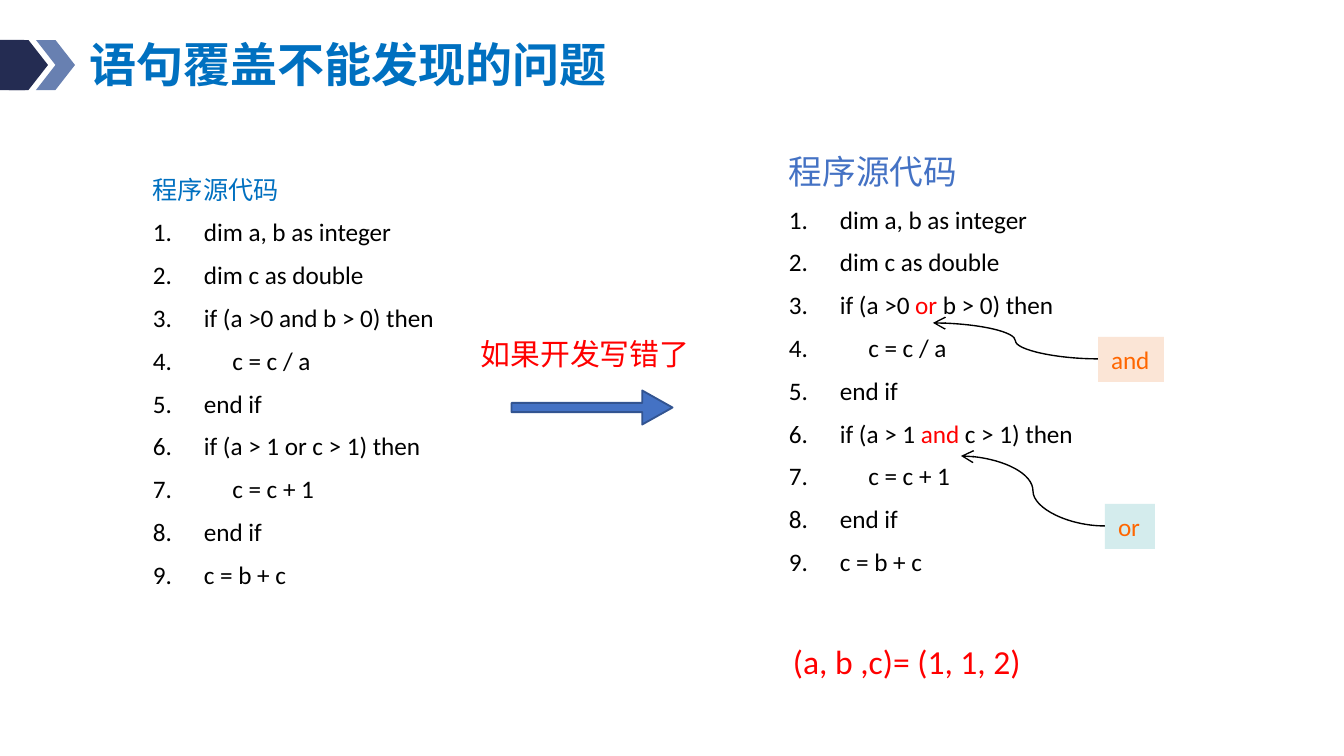
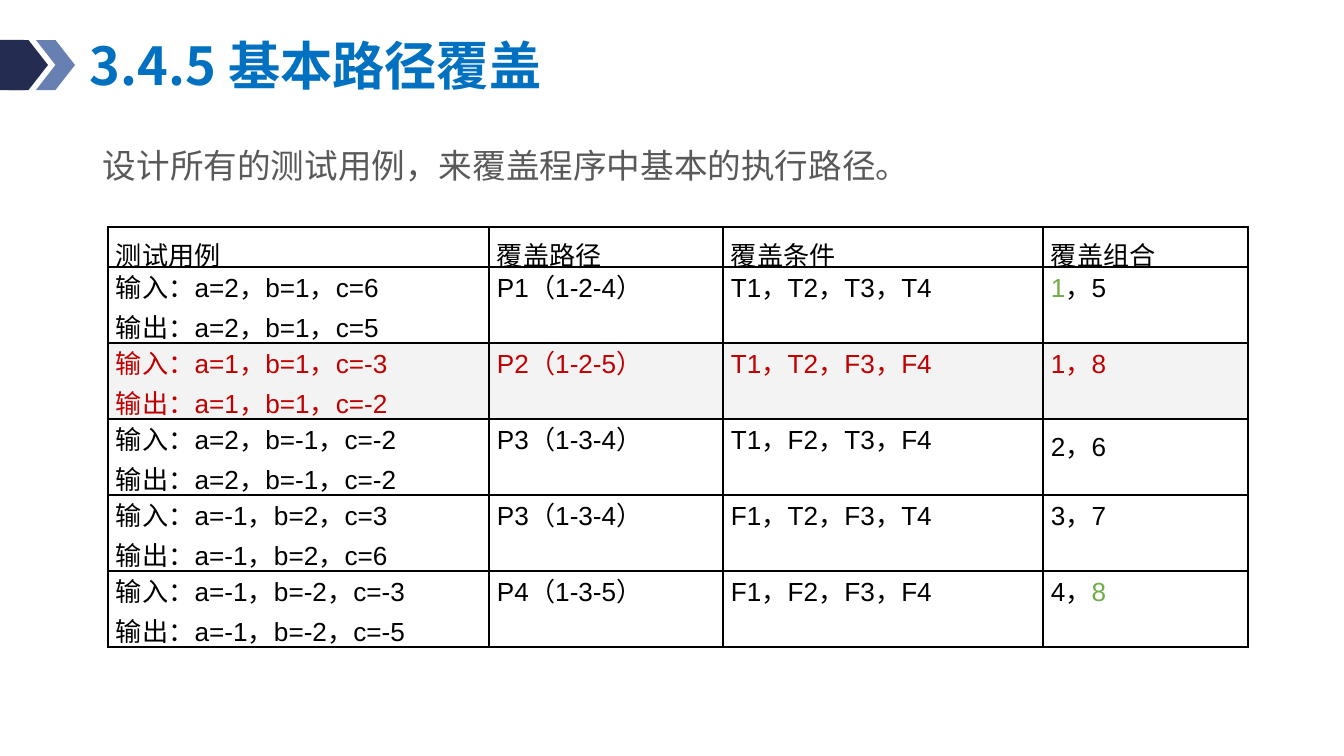
from lxml import etree
from pptx import Presentation
from pptx import util as u
from pptx.dml.color import RGBColor
from pptx.enum import shapes, text
from pptx.oxml.ns import qn

SCALE = 914400 / 134.4  # EMU in one px
NAVY = RGBColor(0x24, 0x2C, 0x52)
STEEL = RGBColor(0x68, 0x80, 0xB1)
TITLE_BLUE = RGBColor(0x00, 0x70, 0xC0)
BLUE = RGBColor(0x44, 0x72, 0xC4)
DARK_BLUE = RGBColor(0x32, 0x54, 0x91)
BLACK = RGBColor(0x00, 0x00, 0x00)
GRAY = RGBColor(0x59, 0x59, 0x59)
LIGHT_GRAY = RGBColor(0xF3, 0xF3, 0xF3)
RED = RGBColor(0xFF, 0x00, 0x00)
DARK_RED = RGBColor(0xC0, 0x00, 0x00)
GREEN = RGBColor(0x70, 0xAD, 0x47)
ORANGE = RGBColor(0xFF, 0x66, 0x00)
PEACH = RGBColor(0xFB, 0xE5, 0xD6)
AQUA = RGBColor(0xD4, 0xEC, 0xED)

CJK = "Noto Sans CJK SC"
LATIN = "Calibri"
CODE = {"name": LATIN, "size": u.Pt(13.5)}
CELL = {"name": "Arial", "size": u.Pt(14)}


def px(value):
    return u.Emu(round(value * SCALE))


def add_child(parent, tag, **attributes):
    child = etree.SubElement(parent, qn(tag))
    for key, value in attributes.items():
        child.set(key, str(value))
    return child


def set_values(target, values):
    for key, value in values.items():
        setattr(target, key, value)


def write_spans(para, spans, font, colour):
    """Spans are one string, or a list of strings and (string, colour) pairs."""
    for span in [spans] if isinstance(spans, str) else spans:
        words, span_colour = (span, colour) if isinstance(span, str) else span
        run = para.add_run()
        run.text = words
        set_values(run.font, font)
        run.font.color.rgb = span_colour
        add_child(run._r.get_or_add_rPr(), "a:ea", typeface=CJK)


def add_text(page, box, spans, font, colour, margins=(13, 7), wrap=True, **para_values):
    shape = page.shapes.add_textbox(*map(px, box))
    frame = shape.text_frame
    side, top = map(px, margins)
    set_values(frame, {"word_wrap": wrap, "margin_left": side, "margin_right": side,
                       "margin_top": top, "margin_bottom": top})
    para = frame.paragraphs[0]
    set_values(para, para_values)
    write_spans(para, spans, font, colour)
    return shape


def add_block(page, kind, box, fill, line=None, adjustments=()):
    shape = page.shapes.add_shape(kind, *map(px, box))
    shape.shadow.inherit = False
    shape.fill.solid()
    shape.fill.fore_color.rgb = fill
    if line:
        shape.line.color.rgb = line
        shape.line.width = u.Pt(1)
    else:
        shape.line.fill.background()
    for index, value in enumerate(adjustments):
        shape.adjustments[index] = value
    return shape


def add_header(page, title, box, size):
    # Band at the left edge
    kinds = shapes.MSO_SHAPE
    add_block(page, kinds.ROUNDED_RECTANGLE, (-17, 40, 47, 50), NAVY, adjustments=[0.1])
    for left, colour in ((36, STEEL), (9, NAVY)):
        add_block(page, kinds.CHEVRON, (left, 40, 39, 50), colour)
    # Title
    font = {"name": CJK, "size": u.Pt(size), "bold": True}
    shape = add_text(page, box, title, font, TITLE_BLUE, margins=(0, 0), line_spacing=0.9)
    shape.text_frame.vertical_anchor = text.MSO_ANCHOR.MIDDLE


def add_listing(page, box, heading_size, heading_colour, first, second):
    """Numbered source code, with the two logical operators given as spans."""
    lines = [
        "dim a, b as integer",
        "dim c as double",
        ["if (a >0 ", first, " b > 0) then"],
        "     c = c / a",
        "end if",
        ["if (a > 1 ", second, " c > 1) then"],
        "     c = c + 1",
        "end if",
        "c = b + c",
    ]
    heading = {"name": CJK, "size": u.Pt(heading_size)}
    frame = add_text(page, box, "程序源代码", heading, heading_colour, margins=(9, 5)).text_frame
    for line in lines:
        para = frame.add_paragraph()
        props = para._p.get_or_add_pPr()
        props.set("marL", str(px(51)))
        props.set("indent", str(px(-51)))
        add_child(add_child(props, "a:spcBef"), "a:spcPct", val=50000)
        add_child(props, "a:buFont", typeface="+mj-lt")
        add_child(props, "a:buAutoNum", type="arabicPeriod")
        write_spans(para, line, CODE, BLACK)


def add_correction(page, word, box, fill, target):
    # Label with the right operator
    label = add_text(page, box, word, CODE, ORANGE)
    label.fill.solid()
    label.fill.fore_color.rgb = fill
    # Curved arrow from the label to the wrong operator
    left, top, _, height = box
    start = (left, top + height // 2)
    arrow = page.shapes.add_connector(shapes.MSO_CONNECTOR.CURVE, *map(px, start + target))
    arrow.line.color.rgb = BLACK
    arrow.line.width = u.Pt(0.75)
    add_child(arrow.line._get_or_add_ln(), "a:tailEnd", type="arrow")
    add_child(arrow._element.spPr, "a:effectLst")


def fill_cell(cell, lines, colour, fill, spacing):
    side = px(8)
    set_values(cell, {"margin_left": side, "margin_right": side,
                      "margin_top": 0, "margin_bottom": 0})
    frame = cell.text_frame
    for index, line in enumerate(lines):
        para = frame.add_paragraph() if index else frame.paragraphs[0]
        set_values(para, {"alignment": text.PP_ALIGN.JUSTIFY, "space_after": u.Pt(1.2),
                          "line_spacing": spacing})
        write_spans(para, line, CELL, colour)
    # Borders come before the fill
    props = cell._tc.get_or_add_tcPr()
    for edge in ("a:lnL", "a:lnR", "a:lnT", "a:lnB"):
        border = add_child(props, edge, w=u.Pt(1))
        add_child(add_child(border, "a:solidFill"), "a:srgbClr", val=BLACK)
    if fill:
        cell.fill.solid()
        cell.fill.fore_color.rgb = fill
    else:
        cell.fill.background()


def add_case_table(page, left, top):
    widths = [381, 234, 320, 205]
    heights = [40] + [76] * 5
    headings = ["测试用例", "覆盖路径", "覆盖条件", "覆盖组合"]
    # Input, output, path, conditions, combinations
    cases = [
        ("a=2，b=1，c=6", "a=2，b=1，c=5", "P1（1-2-4）", "T1，T2，T3，T4", [("1", GREEN), "，5"]),
        ("a=1，b=1，c=-3", "a=1，b=1，c=-2", "P2（1-2-5）", "T1，T2，F3，F4", "1，8"),
        ("a=2，b=-1，c=-2", "a=2，b=-1，c=-2", "P3（1-3-4）", "T1，F2，T3，F4", "2，6"),
        ("a=-1，b=2，c=3", "a=-1，b=2，c=6", "P3（1-3-4）", "F1，T2，F3，T4", "3，7"),
        ("a=-1，b=-2，c=-3", "a=-1，b=-2，c=-5", "P4（1-3-5）", "F1，F2，F3，F4",
         ["4，", ("8", GREEN)]),
    ]
    rows = [[[heading] for heading in headings]]
    for given, result, *others in cases:
        rows.append([["输入：" + given, "输出：" + result]] + [[item] for item in others])

    box = (left, top, sum(widths), sum(heights))
    table = page.shapes.add_table(len(rows), len(widths), *map(px, box)).table
    set_values(table, {"first_row": False, "horz_banding": False})
    for column, width in zip(table.columns, widths):
        column.width = px(width)
    for row, height in zip(table.rows, heights):
        row.height = px(height)
    for r, row in enumerate(rows):
        colour, fill = (DARK_RED, LIGHT_GRAY) if r == 2 else (BLACK, None)
        for c, lines in enumerate(row):
            spacing = 1.2 if r == 0 or (r, c) == (3, 3) else 1.0
            fill_cell(table.cell(r, c), lines, colour, fill, spacing)


def build_mistake_slide(page):
    add_header(page, "语句覆盖不能发现的问题", (89, 38, 571, 59), 25.2)
    # Wrong code with its corrections
    add_listing(page, (780, 146, 421, 464), 18, BLUE, ("or", RED), ("and", RED))
    add_text(page, (780, 634, 258, 54), "(a, b ,c)= (1, 1, 2)",
             {"name": LATIN, "size": u.Pt(18)}, RED, wrap=False)
    add_correction(page, "and", (1098, 337, 66, 45), PEACH, (933, 323))
    add_correction(page, "or", (1105, 504, 50, 45), AQUA, (961, 456))
    # Right code
    add_listing(page, (144, 169, 345, 453), 13.5, TITLE_BLUE, "and", "or")
    # Arrow between the two
    arrow = add_block(page, shapes.MSO_SHAPE.DOWN_ARROW, (575, 327, 34, 161), BLUE,
                      DARK_BLUE, (0.27, 0.89))
    arrow.rotation = 270
    add_text(page, (468, 329, 238, 50), "如果开发写错了",
             {"name": CJK, "size": u.Pt(16)}, RED, wrap=False)


def build_path_slide(page):
    add_header(page, "3.4.5 基本路径覆盖", (90, 39, 790, 59), 28)
    add_text(page, (90, 126, 1173, 62), "设计所有的测试用例，来覆盖程序中基本的执行路径。",
             {"name": CJK, "size": u.Pt(18)}, GRAY, line_spacing=1.3)
    add_case_table(page, 108, 227)


def main():
    deck = Presentation()
    set_values(deck, {"slide_width": px(1344), "slide_height": px(756)})
    blank = deck.slide_layouts[6]
    for build in (build_mistake_slide, build_path_slide):
        build(deck.slides.add_slide(blank))
    deck.save("out.pptx")


if __name__ == "__main__":
    main()
